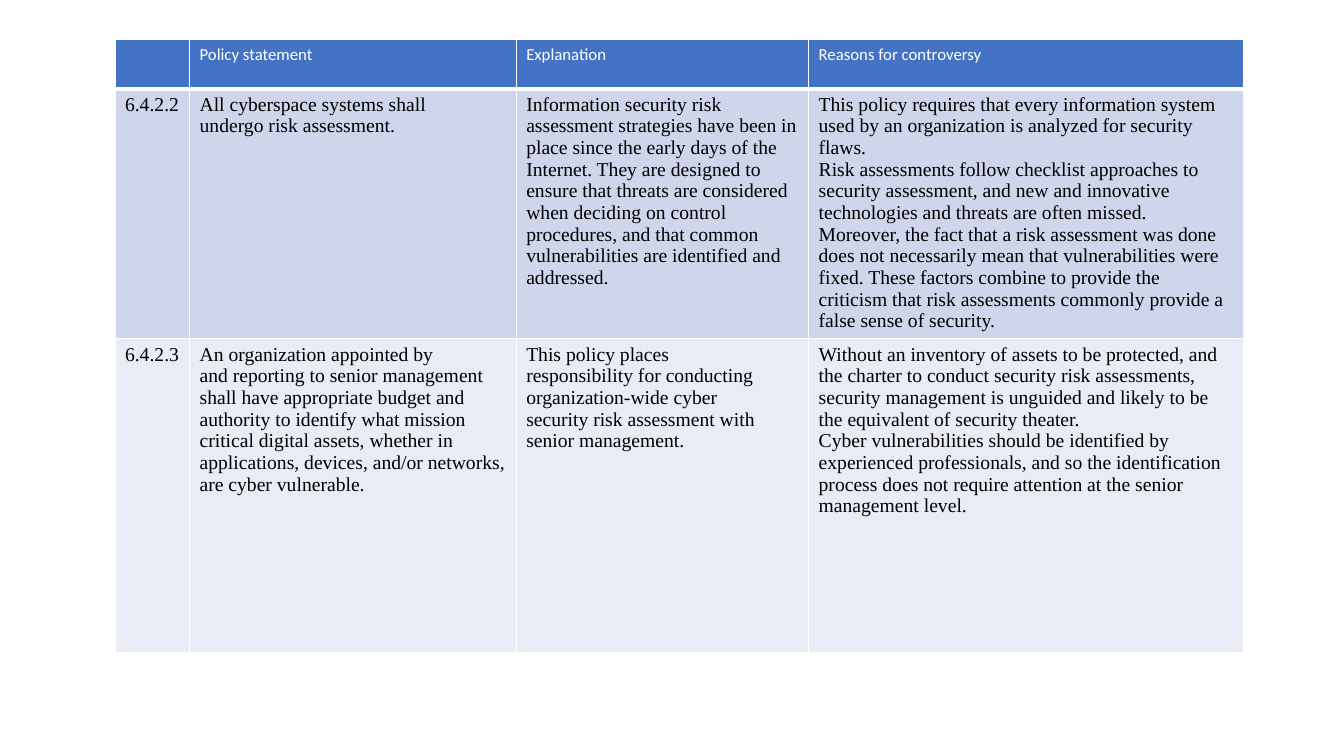
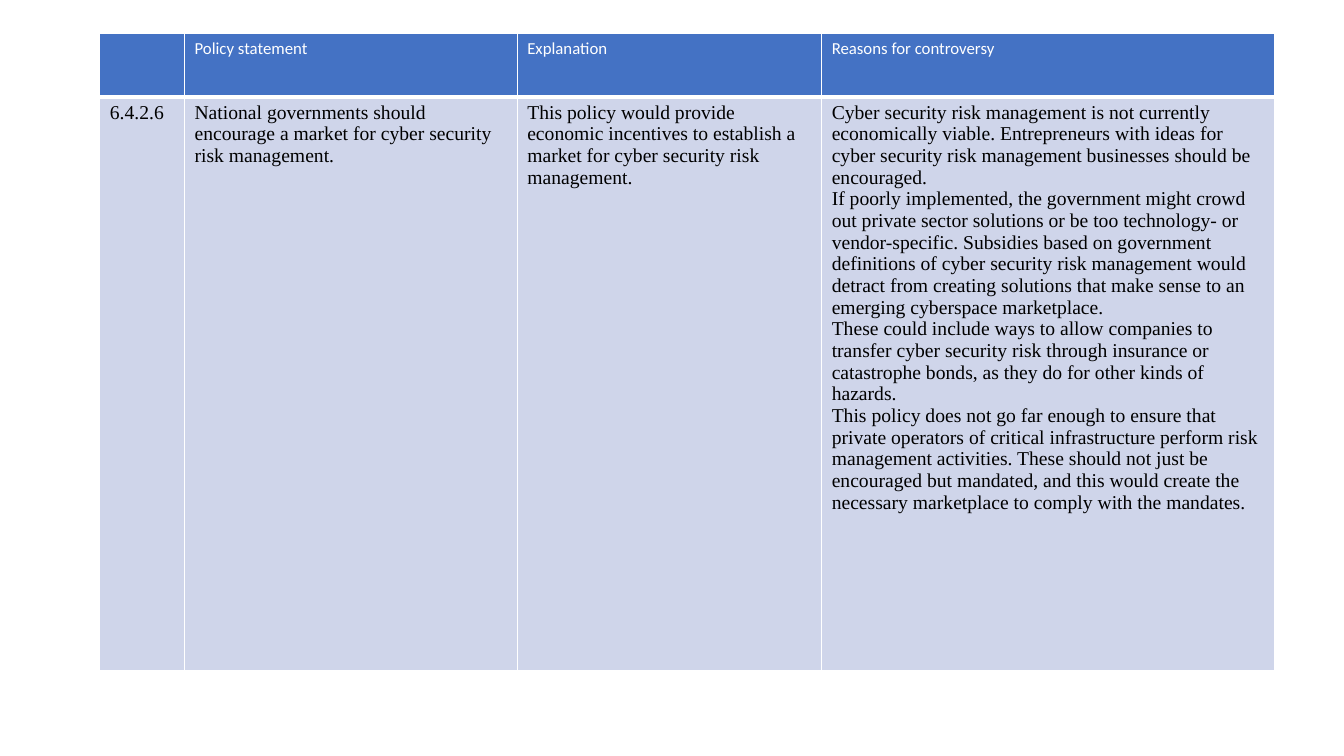
from dataclasses import dataclass

from lxml.etree import SubElement
from pptx import Presentation
from pptx.dml.color import RGBColor
from pptx.oxml.ns import qn
from pptx.util import Inches, Pt

WHITE, BLACK, BLUE = "FFFFFF", "000000", "4472C4"
BANDS = ("CFD5EA", "E9EBF5")
HEADINGS = ("", "Policy statement", "Explanation", "Reasons for controversy")
THIN, THICK = 1, 3


@dataclass(frozen=True)
class CellStyle:
    fill: str
    color: str
    font: str
    size: int
    top: int = THIN
    bottom: int = THIN


@dataclass(frozen=True)
class PolicyTable:
    left: float
    top: float
    cols: tuple[float, ...]
    rows: tuple[float, ...]
    policies: tuple[tuple[str, ...], ...]


def paragraphs(*texts: str) -> str:
    return "\n".join(texts)


TABLES = (
    PolicyTable(
        1.14, 0.39, (0.74, 3.24, 2.9, 4.31), (0.49, 2.48, 3.11),
        (
            (
                "6.4.2.2",
                paragraphs("All cyberspace systems shall", "undergo risk assessment."),
                "Information security risk assessment strategies have been in place "
                "since the early days of the Internet. They are designed to ensure that "
                "threats are considered when deciding on control procedures, and that "
                "common vulnerabilities are identified and addressed.",
                paragraphs(
                    "This policy requires that every information system used by an "
                    "organization is analyzed for security flaws.",
                    "Risk assessments follow checklist approaches to security "
                    "assessment, and new and innovative technologies and threats are "
                    "often missed. Moreover, the fact that a risk assessment was done "
                    "does not necessarily mean that vulnerabilities were fixed. These "
                    "factors combine to provide the criticism that risk assessments "
                    "commonly provide a false sense of security.",
                ),
            ),
            (
                "6.4.2.3",
                paragraphs(
                    "An organization appointed by",
                    "and reporting to senior management shall have appropriate budget and",
                    "authority to identify what mission critical digital assets, whether "
                    "in applications, devices, and/or networks, are cyber vulnerable.",
                ),
                paragraphs(
                    "This policy places",
                    "responsibility for conducting",
                    "organization-wide cyber",
                    "security risk assessment with",
                    "senior management.",
                ),
                paragraphs(
                    "Without an inventory of assets to be protected, and the charter to "
                    "conduct security risk assessments, security management is unguided "
                    "and likely to be the equivalent of security theater.",
                    "Cyber vulnerabilities should be identified by experienced "
                    "professionals, and so the identification process does not require "
                    "attention at the senior management level.",
                ),
            ),
        ),
    ),
    PolicyTable(
        0.99, 0.33, (0.84, 3.3, 3.02, 4.49), (0.63, 5.69),
        (
            (
                "6.4.2.6",
                "National governments should encourage a market for cyber security risk "
                "management.",
                "This policy would provide economic incentives to establish a market for "
                "cyber security risk management.",
                paragraphs(
                    "Cyber security risk management is not currently economically "
                    "viable. Entrepreneurs with ideas for cyber security risk management "
                    "businesses should be encouraged.",
                    "If poorly implemented, the government might crowd out private "
                    "sector solutions or be too technology- or vendor-specific. "
                    "Subsidies based on government definitions of cyber security risk "
                    "management would detract from creating solutions that make sense "
                    "to an emerging cyberspace marketplace.",
                    "These could include ways to allow companies to transfer cyber "
                    "security risk through insurance or catastrophe bonds, as they do "
                    "for other kinds of hazards.",
                    "This policy does not go far enough to ensure that private operators "
                    "of critical infrastructure perform risk management activities. "
                    "These should not just be encouraged but mandated, and this would "
                    "create the necessary marketplace to comply with the mandates.",
                ),
            ),
        ),
    ),
)


def rgb(value: str) -> RGBColor:
    return RGBColor.from_string(value)


def row_style(row: int) -> CellStyle:
    """Header first, then alternating bands; the rule under the header is thick."""
    if row == 0:
        return CellStyle(BLUE, WHITE, "Calibri", 12, bottom=THICK)
    return CellStyle(BANDS[(row - 1) % len(BANDS)], BLACK, "Times New Roman", 14,
                     top=THICK if row == 1 else THIN)


def set_borders(cell, style: CellStyle) -> None:
    tc_pr = cell._tc.get_or_add_tcPr()
    widths = {"lnL": THIN, "lnR": THIN, "lnT": style.top, "lnB": style.bottom}
    for side, width in widths.items():
        ln = SubElement(tc_pr, qn(f"a:{side}"), w=str(Pt(width)))
        SubElement(SubElement(ln, qn("a:solidFill")), qn("a:srgbClr"), val=WHITE)


def fill_cell(cell, text: str, style: CellStyle) -> None:
    set_borders(cell, style)
    cell.fill.solid()
    cell.fill.fore_color.rgb = rgb(style.fill)
    tf = cell.text_frame
    tf.text = text
    font_format = {"name": style.font, "size": Pt(style.size), "bold": False}
    for p in tf.paragraphs:
        for item in (p, *p.runs):
            for name, value in font_format.items():
                setattr(item.font, name, value)
            item.font.color.rgb = rgb(style.color)


def draw_table(s, spec: PolicyTable) -> None:
    lengths = (spec.left, spec.top, sum(spec.cols), sum(spec.rows))
    table = s.shapes.add_table(len(spec.rows), len(spec.cols),
                               *map(Inches, lengths)).table
    for column, width in zip(table.columns, spec.cols):
        column.width = Inches(width)
    for i, texts in enumerate((HEADINGS, *spec.policies)):
        table.rows[i].height = Inches(spec.rows[i])
        for j, text in enumerate(texts):
            fill_cell(table.cell(i, j), text, row_style(i))


def main() -> None:
    prs = Presentation()
    prs.slide_width, prs.slide_height = Inches(13.33), Inches(7.5)
    for policy_table in TABLES:
        s = prs.slides.add_slide(prs.slide_layouts[6])
        draw_table(s, policy_table)
    prs.save("out.pptx")


if __name__ == "__main__":
    main()
